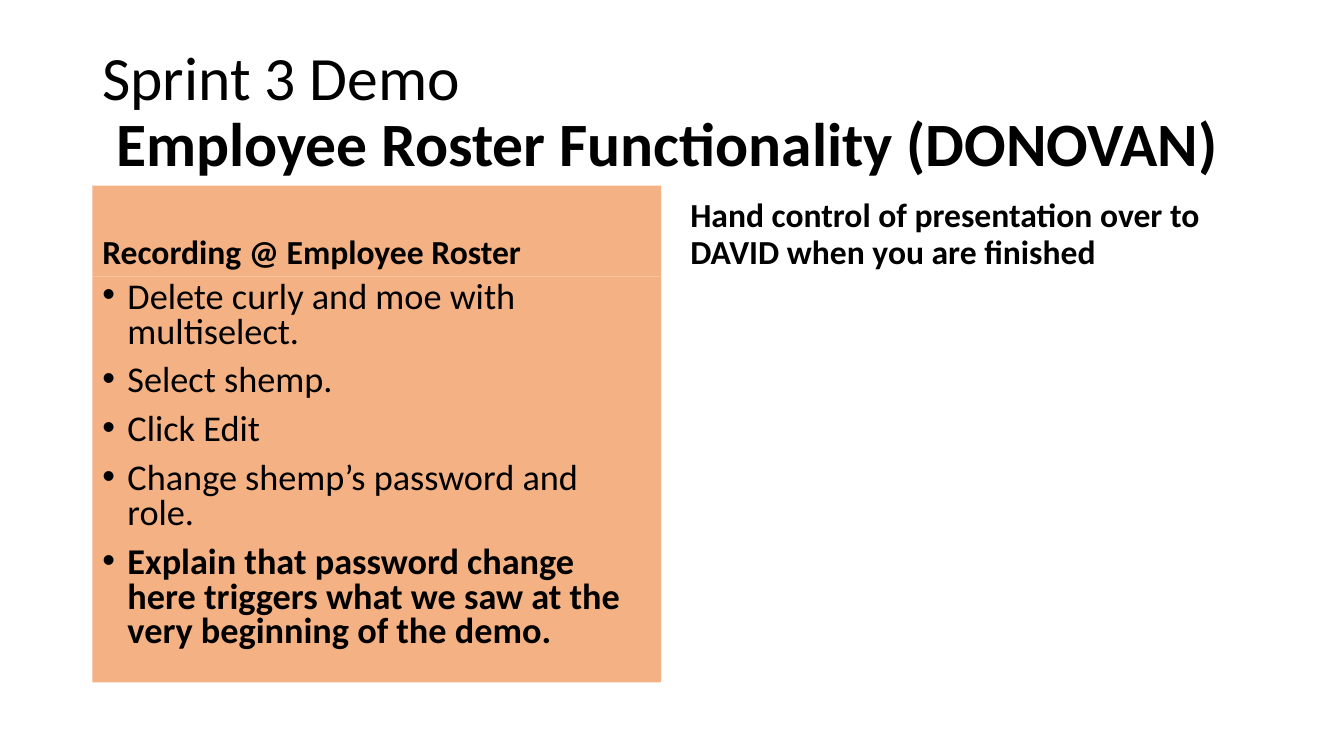
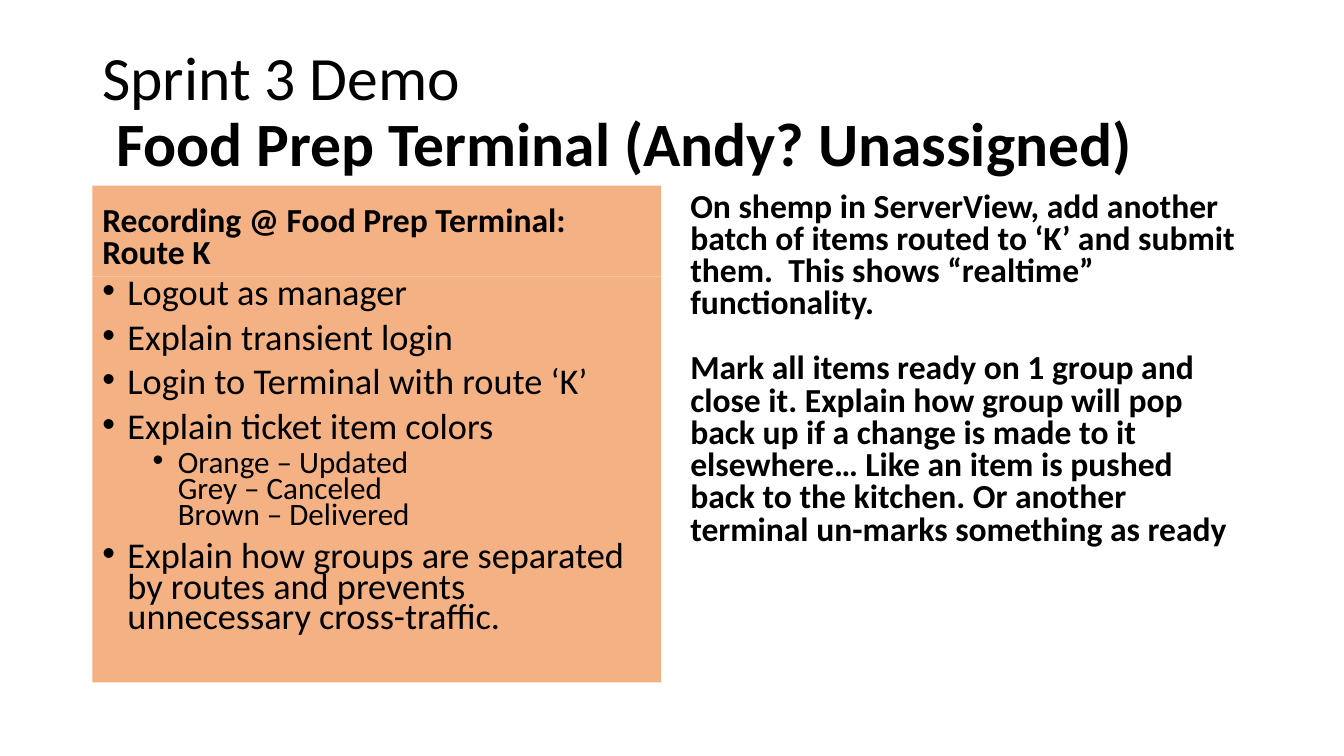
from lxml.etree import SubElement
from pptx import Presentation
from pptx.dml.color import RGBColor
from pptx.enum.text import MSO_ANCHOR as Anchor
from pptx.oxml.ns import qn
from pptx.util import Pt

BLACK = RGBColor(0x00, 0x00, 0x00)
WHITE = RGBColor(0xFF, 0xFF, 0xFF)
ORANGE = RGBColor(0xF4, 0xB1, 0x83)
FONT = "Calibri"

LEFT, RIGHT = 66, 486
LEFT_WIDTH, RIGHT_WIDTH = 406.25, 408.25
TITLE_TOP, TITLE_HEIGHT = 28.75, 104.4
HEADING_TOP, HEADING_HEIGHT = 132.6, 64.8
STEPS_TOP, STEPS_HEIGHT = 197.4, 290
HEADING_SIZE, STEP_SIZE, SUBSTEP_SIZE = 24, 25.9, 22.2
BLANK_LINE = 23.4


def add_panel(slide, left, top, width, height, anchor, fill=None):
    panel = slide.shapes.add_textbox(Pt(left), Pt(top), Pt(width), Pt(height))
    if fill is not None:
        panel.fill.solid()
        panel.fill.fore_color.rgb = fill
    frame = panel.text_frame
    frame.word_wrap = True
    frame.vertical_anchor = anchor
    return frame


def add_paragraph(frame, spacing, before=0):
    first = frame.paragraphs[0]
    paragraph = frame.add_paragraph() if first.runs else first
    paragraph.line_spacing = spacing
    paragraph.space_before = Pt(before)
    return paragraph


def add_text(paragraph, text, size, bold=False):
    for index, line in enumerate(text.split("\n")):
        if index:
            paragraph.add_line_break()
        run = paragraph.add_run()
        run.text = line
        run.font.name = FONT
        run.font.size = Pt(size)
        run.font.bold = bold
        run.font.color.rgb = BLACK


def add_bullet(paragraph, level):
    paragraph.level = level
    properties = paragraph._p.get_or_add_pPr()
    properties.set("marL", str(Pt(18 + 36 * level)))
    properties.set("indent", str(-Pt(18)))
    SubElement(properties, qn("a:buFont")).set("typeface", "Arial")
    SubElement(properties, qn("a:buChar")).set("char", "•")


def add_title(slide, topic):
    frame = add_panel(slide, LEFT, TITLE_TOP, 828, TITLE_HEIGHT, Anchor.MIDDLE)
    title = add_paragraph(frame, 0.9)
    add_text(title, "Sprint 3 Demo\n ", 44)
    add_text(title, topic, 44, bold=True)


def add_heading(slide, text, spacing):
    frame = add_panel(slide, LEFT, HEADING_TOP, LEFT_WIDTH, HEADING_HEIGHT,
                      Anchor.BOTTOM, ORANGE)
    add_text(add_paragraph(frame, spacing, 10), text, HEADING_SIZE, bold=True)


def add_steps(slide, steps, spacing):
    frame = add_panel(slide, LEFT, STEPS_TOP, LEFT_WIDTH, STEPS_HEIGHT,
                      Anchor.TOP, ORANGE)
    for text, level, bold in steps:
        step = add_paragraph(frame, spacing, 5 if level else 10)
        add_bullet(step, level)
        add_text(step, text, SUBSTEP_SIZE if level else STEP_SIZE, bold)


def add_instructions(slide, texts, height, spacing, lines_below=0):
    frame = add_panel(slide, RIGHT, HEADING_TOP, RIGHT_WIDTH, height, Anchor.BOTTOM)
    frame.margin_bottom = Pt(3.6 + lines_below * BLANK_LINE)
    for index, text in enumerate(texts):
        instruction = add_paragraph(frame, spacing, BLANK_LINE if index else 10)
        add_text(instruction, text, HEADING_SIZE, bold=True)


def add_demo_slide(deck, topic, heading, heading_spacing, steps, steps_spacing):
    slide = deck.slides.add_slide(deck.slide_layouts[6])
    slide.background.fill.solid()
    slide.background.fill.fore_color.rgb = WHITE
    add_title(slide, topic)
    add_heading(slide, heading, heading_spacing)
    add_steps(slide, steps, steps_spacing)
    return slide


def main():
    deck = Presentation()
    deck.slide_width, deck.slide_height = Pt(960), Pt(540)

    roster = add_demo_slide(
        deck, "Employee Roster Functionality (DONOVAN)",
        "Recording @ Employee Roster", 0.9,
        [("Delete curly and moe with multiselect.", 0, False),
         ("Select shemp.", 0, False),
         ("Click Edit", 0, False),
         ("Change shemp’s password and role.", 0, False),
         ("Explain that password change here triggers what we saw at the "
          "very beginning of the demo.", 0, True)], 0.8)
    add_instructions(
        roster,
        ["Hand control of presentation over to DAVID when you are finished"],
        HEADING_HEIGHT, 0.9)

    terminal = add_demo_slide(
        deck, "Food Prep Terminal (Andy? Unassigned)",
        "Recording @ Food Prep Terminal: Route K", 0.8,
        [("Logout as manager", 0, False),
         ("Explain transient login", 0, False),
         ("Login to Terminal with route ‘K’", 0, False),
         ("Explain ticket item colors", 0, False),
         ("Orange – Updated\nGrey – Canceled\nBrown – Delivered", 1, False),
         ("Explain how groups are separated by routes and prevents "
          "unnecessary cross-traffic.", 0, False)], 0.7)
    add_instructions(
        terminal,
        ["On shemp in ServerView, add another batch of items routed to ‘K’ "
         "and submit them.  This shows “realtime” functionality.",
         "Mark all items ready on 1 group and close it. Explain how group "
         "will pop back up if a change is made to it elsewhere… Like an item "
         "is pushed back to the kitchen. Or another terminal un-marks "
         "something as ready"],
        309, 0.8, lines_below=2)

    deck.save("out.pptx")


main()
